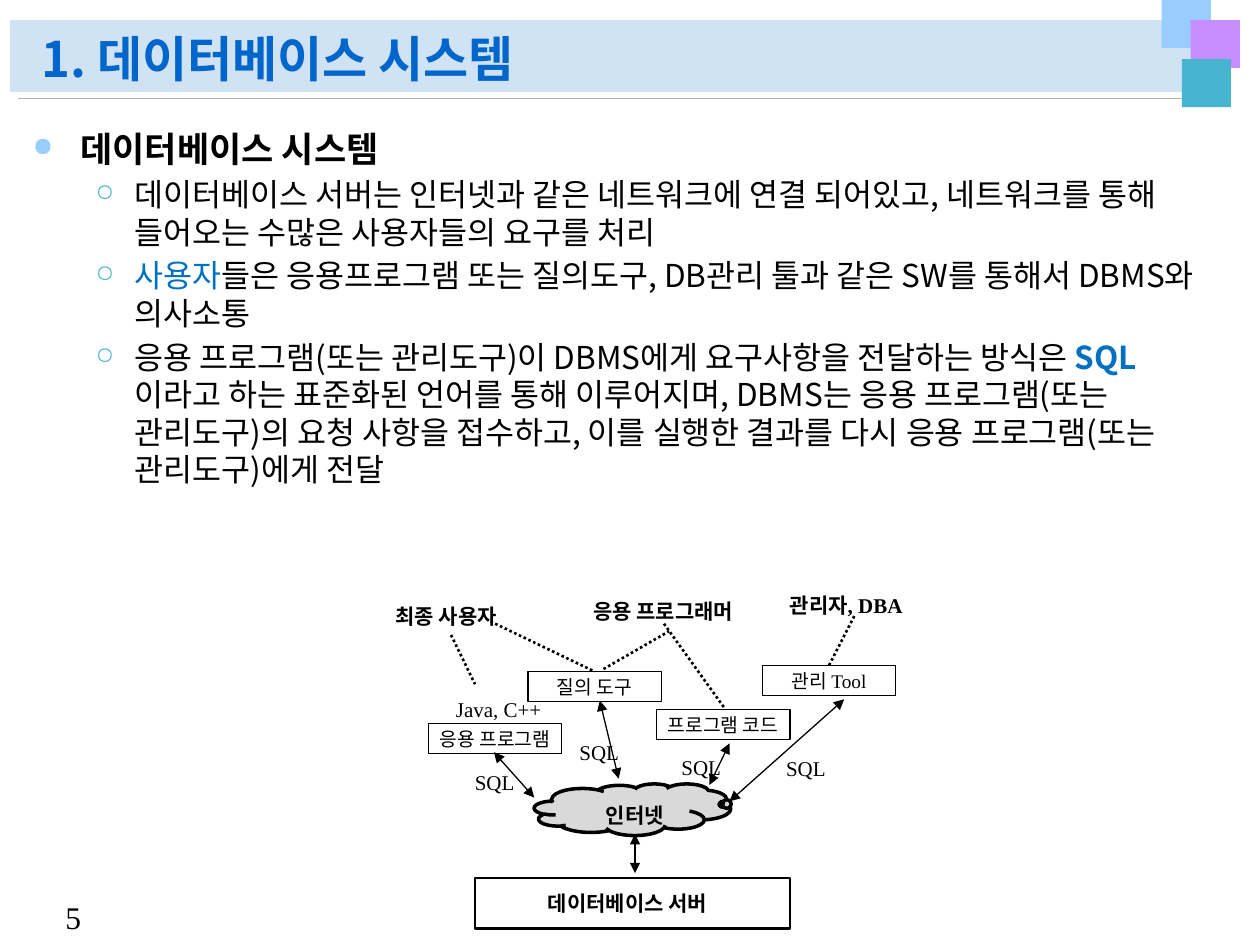
from dataclasses import dataclass
from lxml.etree import SubElement
from pptx import Presentation
from pptx.dml.color import RGBColor
from pptx.enum.dml import MSO_LINE_DASH_STYLE as Dash
from pptx.enum.shapes import MSO_CONNECTOR as Connector, MSO_SHAPE as Shape
from pptx.enum.text import MSO_ANCHOR as Anchor, MSO_AUTO_SIZE as AutoSize, PP_ALIGN as Align
from pptx.oxml.ns import qn
from pptx.util import Inches, Pt


@dataclass(frozen=True)
class Theme:
    sans: str = "Noto Sans CJK KR"
    serif: str = "Times New Roman"
    ink: str = "000000"
    paper: str = "FFFFFF"
    band: str = "D0E3F5"
    rule: str = "B2B2B2"
    sky: str = "99CCFF"
    violet: str = "C68DFF"
    teal: str = "47B5CF"
    title: str = "0066CC"
    accent: str = "0070C0"
    cloud: str = "D9D9D9"
    title_size: float = 28
    heading_size: float = 20
    body_size: float = 18
    label_size: float = 12
    tool_size: float = 11
    thin: float = 0.75
    dotted: float = 1.5
    thick: float = 2


THEME = Theme()
COLUMNS, ROWS = 100, 75

TITLE = "1. 데이터베이스 시스템"
HEADING = "데이터베이스 시스템"
POINTS = [
    [("데이터베이스 서버는 인터넷과 같은 네트워크에 연결 되어있고, 네트워크를 통해 들어오는 수많은 사용자들의 요구를 처리", {})],
    [
        ("사용자", {"color": THEME.accent}),
        ("들은 응용프로그램 또는 질의도구, DB관리 툴과 같은 SW를 통해서 DBMS와 의사소통", {}),
    ],
    [
        ("응용 프로그램(또는 관리도구)이 DBMS에게 요구사항을 전달하는 방식은 ", {}),
        ("SQL", {"color": THEME.accent, "bold": True}),
        ("이라고 하는 표준화된 언어를 통해 이루어지며, DBMS는 응용 프로그램(또는 관리도구)의 요청 사항을 접수하고, "
         "이를 실행한 결과를 다시 응용 프로그램(또는 관리도구)에게 전달", {}),
    ],
]
CORNER_SQUARES = [(92.2, 0, THEME.sky), (94.5, 1.6, THEME.violet), (93.8, 4.7, THEME.teal)]
TOOLS = [
    ("응용 프로그램", 34, 57.4),
    ("질의 도구", 41.9, 53.3),
    ("관리 Tool", 60.5, 52.8),
    ("프로그램 코드", 52.1, 56.3),
]
LABELS = [
    ("데이터베이스 서버", 42.5, 70.2, 15.6, True),
    ("인터넷", 47.1, 63.2, 7, True),
    ("Java, C++", 35.2, 54.8, 8.9, False),
    ("최종 사용자", 30.4, 47.4, 10.7, True),
    ("관리자, DBA", 61.7, 46.5, 11.3, True),
    ("응용 프로그래머", 46.1, 47, 14, True),
]
SQL_SPOTS = [(36.7, 60.6), (45, 58.2), (53.1, 59.4), (61.4, 59.5)]
ARROWS = [
    (47.6, 55.6, 49.1, 61.8),
    (39.2, 59.7, 42.4, 63.3),
    (50.4, 66.2, 50.4, 69.3),
    (57.9, 59, 56.3, 62.3),
    (67, 55.5, 57.9, 63.6),
]
DOTTED_LINKS = [
    (35.8, 50.4, 37.7, 54.3),
    (39.3, 49.5, 47.2, 53.3),
    (67.8, 48.9, 65.8, 52.8),
    (52.7, 49.5, 57.5, 56.2),
    (47.9, 53.1, 53.1, 50.1),
]

deck = Presentation()
deck.slide_width, deck.slide_height = Inches(10), Inches(7.5)
slide = deck.slides.add_slide(deck.slide_layouts[6])


def grid(*cells):
    steps = (deck.slide_width / COLUMNS, deck.slide_height / ROWS)
    return [round(cell * steps[index % 2]) for index, cell in enumerate(cells)]


def write(para, text, *, size, font=THEME.serif, color=THEME.ink, bold=False):
    span = para.add_run()
    span.text = text
    span.font.size, span.font.name, span.font.bold = Pt(size), font, bold
    span.font.color.rgb = RGBColor.from_string(color)
    SubElement(span.font._element, qn("a:ea"), typeface=THEME.sans)


def add_box(place, kind=Shape.RECTANGLE, fill=None, line=None, weight=THEME.thin):
    box = slide.shapes.add_shape(kind, *grid(*place))
    box.shadow.inherit = False
    if fill:
        box.fill.solid()
        box.fill.fore_color.rgb = RGBColor.from_string(fill)
    else:
        box.fill.background()
    if line:
        box.line.color.rgb = RGBColor.from_string(line)
        box.line.width = Pt(weight)
    else:
        box.line.fill.background()
    return box


def add_line(ends, color=THEME.ink, weight=THEME.thin, dash=None, arrows=False):
    link = slide.shapes.add_connector(Connector.STRAIGHT, *grid(*ends))
    link.line.color.rgb = RGBColor.from_string(color)
    link.line.width = Pt(weight)
    if dash:
        link.line.dash_style = dash
    if arrows:
        for end in ("a:headEnd", "a:tailEnd"):
            SubElement(link.line._get_or_add_ln(), qn(end), type="triangle")
    SubElement(link._element.spPr, qn("a:effectLst"))


def add_text_frame(place, wrap=True):
    frame = slide.shapes.add_textbox(*grid(*place)).text_frame
    frame.word_wrap = wrap
    frame.auto_size = AutoSize.NONE if wrap else AutoSize.SHAPE_TO_FIT_TEXT
    return frame


def add_label(text, place, size=THEME.label_size, bold=False):
    write(add_text_frame(place, wrap=False).paragraphs[0], text, size=size, bold=bold)


def set_bullet(para, mark, color, margin, hang):
    props = para._p.get_or_add_pPr()
    props.set("marL", str(Inches(margin)))
    props.set("indent", str(-Inches(hang)))
    SubElement(SubElement(props, qn("a:buClr")), qn("a:srgbClr"), val=color)
    SubElement(props, qn("a:buSzPct"), val="75000")
    SubElement(props, qn("a:buChar"), char=mark)


def add_header():
    add_box((0.8, 1.6, 96.9, 5.7), fill=THEME.band)
    add_line((97.4, 7.8, 1.4, 7.8), color=THEME.rule, weight=0.5)
    for left, top, color in CORNER_SQUARES:
        add_box((left, top, 3.9, 3.8), fill=color)
    add_label("5", (4.2, 70.8, 5, 4), size=THEME.body_size)
    frame = add_text_frame((2.3, 1.7, 89.8, 5.8))
    frame.vertical_anchor = Anchor.BOTTOM
    para = frame.paragraphs[0]
    para.line_spacing = 0.9
    write(para, TITLE, size=THEME.title_size, font=THEME.sans, color=THEME.title, bold=True)


def add_body():
    frame = add_text_frame((1.6, 9.4, 96.1, 31.6))
    heading = frame.paragraphs[0]
    heading.line_spacing = Pt(25.5)
    set_bullet(heading, "●", THEME.sky, 0.38, 0.38)
    write(heading, HEADING, size=THEME.heading_size, font=THEME.sans, bold=True)
    for point in POINTS:
        para = frame.add_paragraph()
        para.level = 1
        para.line_spacing = Pt(21.4)
        para.space_before = Pt(THEME.body_size * 0.2)
        set_bullet(para, "○", THEME.teal, 0.81, 0.31)
        for text, style in point:
            write(para, text, size=THEME.body_size, font=THEME.sans, **style)


def add_diagram():
    for text, left, top in TOOLS:
        box = add_box((left, top, 10.6, 2.4), fill=THEME.paper, line=THEME.ink)
        box.text_frame.word_wrap = False
        box.text_frame.vertical_anchor = Anchor.MIDDLE
        para = box.text_frame.paragraphs[0]
        para.alignment = Align.CENTER
        write(para, text, size=THEME.tool_size)
    add_box((37.7, 69.7, 25, 4), line=THEME.ink, weight=THEME.dotted)
    cloud = add_box((42.4, 62.2, 15.6, 4.1), Shape.CLOUD_CALLOUT, THEME.cloud, THEME.ink, THEME.thick)
    cloud.adjustments[0], cloud.adjustments[1] = 0.45, -0.1
    for ends in ARROWS:
        add_line(ends, arrows=True)
    for ends in DOTTED_LINKS:
        add_line(ends, weight=THEME.dotted, dash=Dash.ROUND_DOT)
    for text, left, top, width, bold in LABELS:
        add_label(text, (left, top, width, 3), bold=bold)
    for left, top in SQL_SPOTS:
        add_label("SQL", (left, top, 5.2, 3))


add_header()
add_body()
add_diagram()
deck.save("out.pptx")
